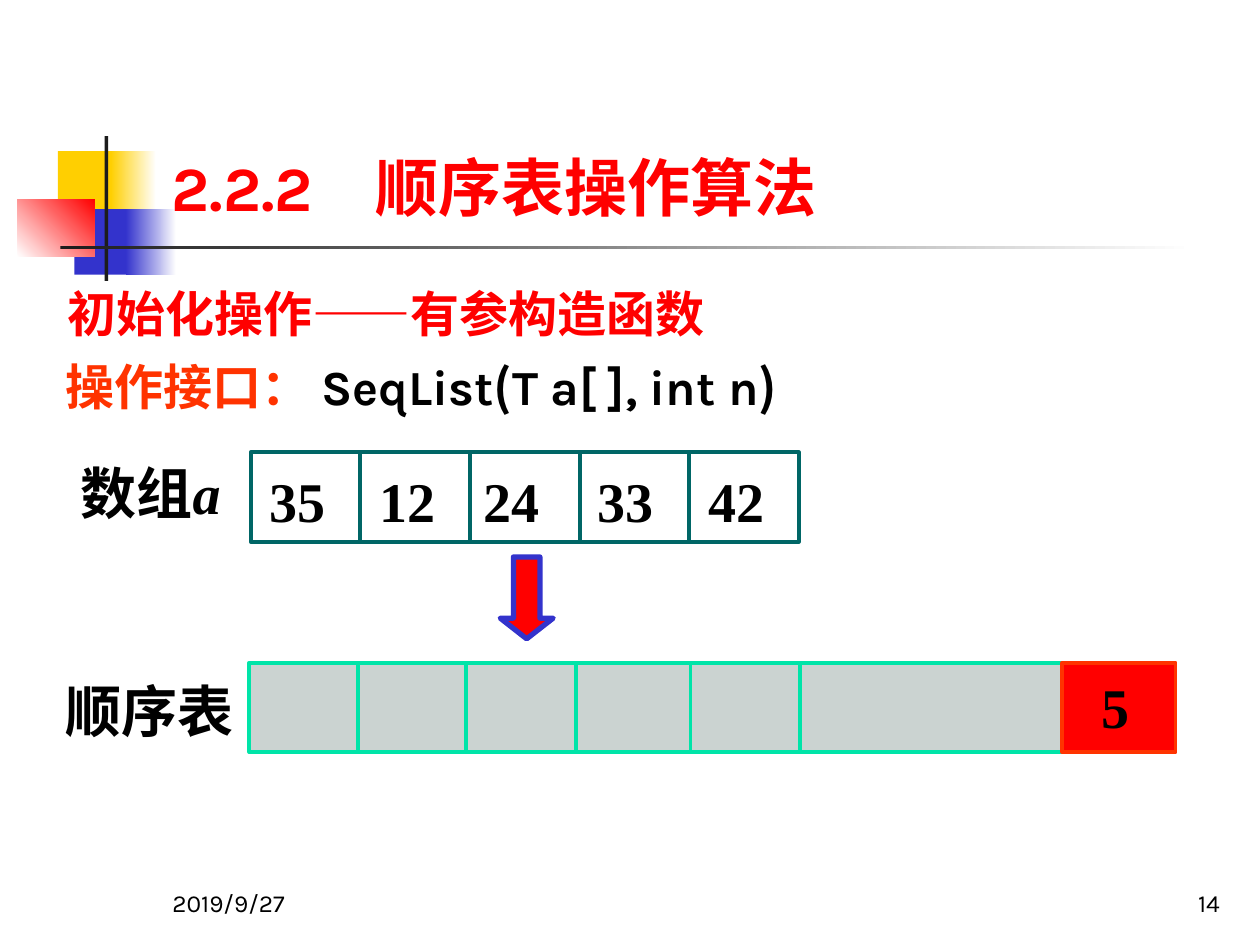
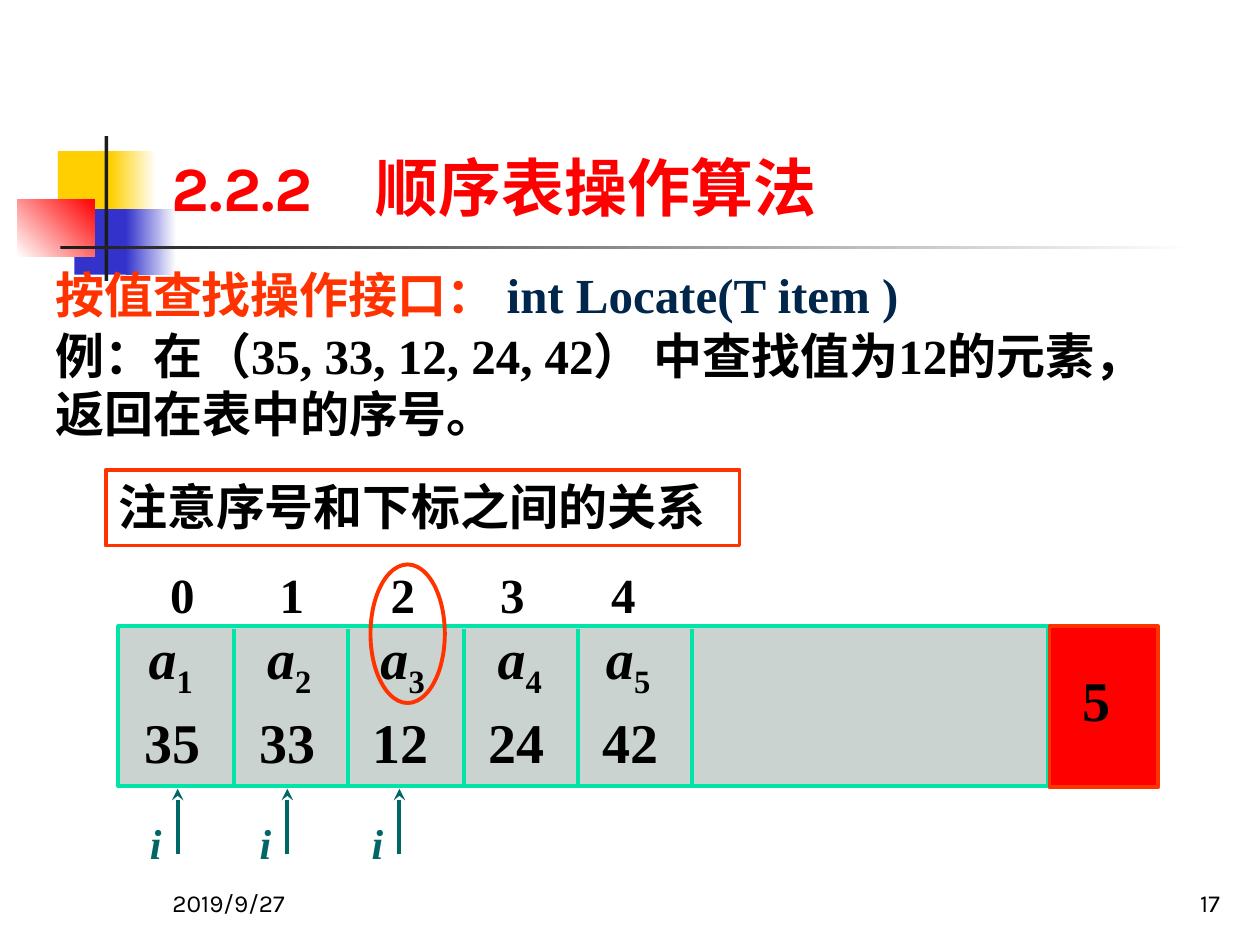
from lxml.etree import SubElement
from pptx import Presentation
from pptx.dml.color import RGBColor
from pptx.enum.shapes import MSO_CONNECTOR, MSO_SHAPE
from pptx.enum.text import MSO_ANCHOR, MSO_AUTO_SIZE, PP_ALIGN
from pptx.oxml.ns import qn
from pptx.util import Pt

PX = 9144  # EMU in one px, 100 px to the inch

BLACK = RGBColor(0x00, 0x00, 0x00)
WHITE = RGBColor(0xFF, 0xFF, 0xFF)
RED = RGBColor(0xFF, 0x00, 0x00)
ORANGE = RGBColor(0xFF, 0x33, 0x00)
YELLOW = RGBColor(0xFF, 0xCF, 0x01)
BLUE = RGBColor(0x33, 0x33, 0xCC)
NAVY = RGBColor(0x00, 0x26, 0x4C)
CHARCOAL = RGBColor(0x1C, 0x1C, 0x1C)
GREY = RGBColor(0xCB, 0xD3, 0xD1)
GREEN = RGBColor(0x00, 0xE4, 0xA8)
TEAL = RGBColor(0x00, 0x66, 0x66)

KARLA, ARIAL, TIMES, NOTO = "Karla", "Arial", "Times New Roman", "Noto Sans CJK SC"


def draw(slide, kind, box, fill=None, line=None, width=2.25):
    """Add a preset shape; a pair of colours as fill makes a gradient."""
    shape = slide.shapes.add_shape(kind, *[length * PX for length in box])
    shape.shadow.inherit = False
    if fill is None:
        shape.fill.background()
    elif isinstance(fill, list):
        shape.fill.gradient()
        shape.fill.gradient_angle = 0
        for stop, colour in zip(shape.fill.gradient_stops, fill):
            stop.color.rgb = colour
    else:
        shape.fill.solid()
        shape.fill.fore_color.rgb = fill
    if line is None:
        shape.line.fill.background()
    else:
        shape.line.color.rgb = line
        shape.line.width = Pt(width)
    return shape


def write(target, box, runs, size, insets=(10, 5), anchor=MSO_ANCHOR.TOP,
          align=PP_ALIGN.LEFT, bold=True):
    """Write (text, font, colour, style) runs in a new text box on a slide, or in a given shape."""
    shape = target
    if hasattr(target, "shapes"):
        shape = target.shapes.add_textbox(0, 0, 0, 0)
    if box:
        shape.left, shape.top, shape.width, shape.height = [length * PX for length in box]
    frame = shape.text_frame
    frame.word_wrap = True
    frame.auto_size = MSO_AUTO_SIZE.NONE
    frame.vertical_anchor = anchor
    frame.margin_left = frame.margin_right = insets[0] * PX
    frame.margin_top = frame.margin_bottom = insets[1] * PX
    paragraph = frame.paragraphs[0]
    properties = paragraph._p.get_or_add_pPr()
    properties.set("marL", "0")
    properties.set("indent", "0")
    SubElement(properties, qn("a:buNone"))
    paragraph.alignment = align
    paragraph.space_before = Pt(0)
    for text, font, colour, *style in runs:
        run = paragraph.add_run()
        run.text = text
        run.font.name = font
        run.font.size = Pt(size)
        run.font.bold = bold
        run.font.italic = "italic" in style
        run.font.color.rgb = colour
        run_properties = run._r.get_or_add_rPr()
        SubElement(run_properties, qn("a:ea")).set("typeface", NOTO)
        if "subscript" in style:
            run_properties.set("baseline", "-25000")
    return paragraph


presentation = Presentation()
presentation.slide_width = 1000 * PX
presentation.slide_height = 750 * PX
layout = presentation.slide_layouts[1]

# Shared title, date and page number
for page in (14, 17):
    slide = presentation.slides.add_slide(layout)
    write(slide.shapes.title, (126, 23, 852, 160), [("2.2.2　顺序表操作算法", KARLA, RED)], 36,
          anchor=MSO_ANCHOR.BOTTOM)
    write(slide, (127, 683, 208, 50), [("2019/9/27", KARLA, BLACK)], 14,
          anchor=MSO_ANCHOR.BOTTOM, bold=False)
    write(slide, (770, 683, 208, 50), [(str(page), KARLA, BLACK)], 14,
          anchor=MSO_ANCHOR.BOTTOM, align=PP_ALIGN.RIGHT, bold=False)
constructor_slide, locate_slide = presentation.slides

# Shared title ornament, kept on the layout
ornament = [
    ((46, 120, 48, 52), YELLOW),
    ((88, 120, 36, 52), [YELLOW, WHITE]),
    ((59, 166, 46, 52), BLUE),
    ((100, 166, 40, 52), [BLUE, WHITE]),
    ((14, 158, 61, 46), [WHITE, RED]),
    ((83, 108, 3, 115), CHARCOAL),
    ((48, 195, 900, 3), [CHARCOAL, WHITE]),
]
for shape_id, (box, fill) in enumerate(ornament, start=100):
    part = draw(constructor_slide, MSO_SHAPE.RECTANGLE, box, fill)
    if fill == [WHITE, RED]:
        part.fill.gradient_angle = 45
    part.element.nvSpPr.cNvPr.set("id", str(shape_id))
    layout.shapes.element.append(part.element)

# Slide 1: constructor that copies an array
slide = constructor_slide
write(slide, (44, 216, 648, 64),
      [("初始化操作", KARLA, RED), ("——", ARIAL, RED), ("有参构造函数", KARLA, RED)], 28,
      anchor=MSO_ANCHOR.MIDDLE)
interface = write(slide.placeholders[1], (52, 283, 727, 52),
                  [("操作接口：", KARLA, ORANGE), (" SeqList", KARLA, BLACK), ("(", NOTO, BLACK),
                   ("T a[ ], int n", KARLA, BLACK), (")", NOTO, BLACK)], 28, insets=(0, 5))
interface.line_spacing = 0.9

write(slide, (54, 359, 158, 63),
      [("数组", ARIAL, BLACK), ("a", TIMES, BLACK, "italic")], 32)
array_items = zip(("35", "12", "24", "33", "42"), (214, 301, 384, 474, 562))
for index, (value, left) in enumerate(array_items):
    draw(slide, MSO_SHAPE.RECTANGLE, (199 + 87 * index, 359, 87, 71), line=TEAL)
    write(slide, (left, 370, 52, 53), [(value, TIMES, BLACK)], 32, insets=(0, 0))

copy_arrow = draw(slide, MSO_SHAPE.DOWN_ARROW, (397, 442, 42, 65), RED, BLUE, 3)
copy_arrow.adjustments[0] = 0.5
copy_arrow.adjustments[1] = 0.39

write(slide, (42, 532, 167, 63), [("顺序表", ARIAL, BLACK)], 32)
draw(slide, MSO_SHAPE.RECTANGLE, (198, 526, 647, 71), GREY, GREEN)
length_cell = draw(slide, MSO_SHAPE.RECTANGLE, (843, 526, 90, 71), RED, ORANGE)
write(length_cell, None, [("5", TIMES, BLACK)], 32, insets=(31, 8))

# Slide 2: search by value
slide = locate_slide
write(slide, (34, 205, 917, 57),
      [("按值查找操作接口： ", ARIAL, ORANGE), ("int Locate(T item )", TIMES, NAVY)], 28)
write(slide.placeholders[1], (34, 253, 917, 103),
      [("例：在（35, 33, 12, 24, 42） 中查找值为12的元素，返回在表中的序号。", TIMES, BLACK)], 28)
notice = draw(slide, MSO_SHAPE.RECTANGLE, (84, 373, 503, 60), line=ORANGE)
write(notice, None, [("注意序号和下标之间的关系", ARIAL, BLACK)], 28)

draw(slide, MSO_SHAPE.RECTANGLE, (94, 497, 738, 127), GREY, GREEN)
length_cell = draw(slide, MSO_SHAPE.RECTANGLE, (833, 497, 86, 128), RED, ORANGE)
write(length_cell, None, [("5", TIMES, BLACK)], 32, insets=(26, 31))

list_items = zip(("35", "33", "12", "24", "42"), (118, 212, 302, 395, 481),
                 (115, 206, 296, 388, 478))
for index, (value, name_left, value_left) in enumerate(list_items):
    write(slide, (135 + 175 * index // 2, 443, 50, 57), [(str(index), TIMES, BLACK)], 28,
          insets=(0, 5))
    write(slide, (name_left, 490, 53, 63),
          [("a", TIMES, BLACK, "italic"), (str(index + 1), TIMES, BLACK, "subscript")], 32,
          insets=(0, 5))
    write(slide, (value_left, 557, 53, 63), [(value, TIMES, BLACK)], 32, insets=(0, 5))
draw(slide, MSO_SHAPE.OVAL, (294, 448, 59, 110), line=ORANGE)

# Cell dividers on both slides and the pointers i under the list
pointers = (141, 228, 317)
for x in pointers:
    write(locate_slide, (x - 22, 649, 22, 40), [("i", TIMES, TEAL, "italic")], 24, insets=(0, 0))
line_rows = [
    (constructor_slide, (284, 370, 457, 548, 635), 527, 597, GREEN),
    (locate_slide, (186, 276, 368, 459, 549), 499, 625, GREEN),
    (locate_slide, pointers, 678, 626, TEAL),
]
for slide, positions, start, end, colour in line_rows:
    for x in positions:
        line = slide.shapes.add_connector(MSO_CONNECTOR.STRAIGHT, x * PX, start * PX,
                                          x * PX, end * PX)
        line.line.color.rgb = colour
        line.line.width = Pt(2.25)
        if colour == TEAL:
            SubElement(line.line._get_or_add_ln(), qn("a:tailEnd")).set("type", "stealth")
        SubElement(line.element.spPr, qn("a:effectLst"))

presentation.save("out.pptx")
